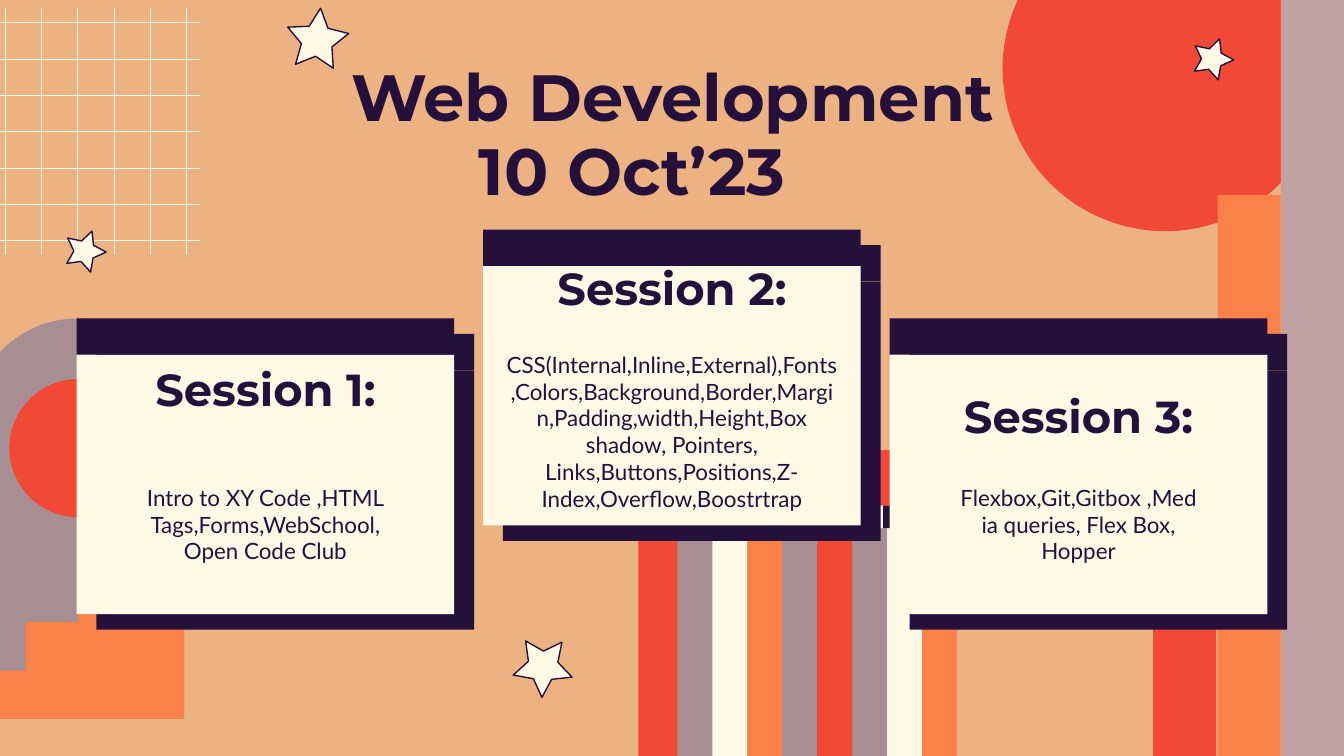
from math import cos, radians, sin

from lxml.etree import SubElement
from pptx import Presentation
from pptx.dml.color import RGBColor
from pptx.enum.shapes import MSO_CONNECTOR, MSO_SHAPE
from pptx.enum.text import MSO_ANCHOR, MSO_AUTO_SIZE, PP_ALIGN
from pptx.oxml.ns import qn
from pptx.util import Inches, Pt

WIDTH = 10
HEIGHT = WIDTH * 9 / 16
COLORS = {
    "sand": "ECB281", "orange": "FA8147", "cream": "FFF9E5", "mauve": "A78E92",
    "red": "F14936", "dark": "25103B", "rose": "BFA2A4",
}
TITLE = ("Web Development", (0.79, 0.32, 8.43, 0.63))
DATE = ("10 Oct’23", (1.38, 0.87, 6.65, 0.63))
SESSIONS = [
    {"heading": "Session 1:", "card_top": 2.37, "heading_top": 2.61,
     "body": "Intro to XY Code ,HTML Tags,Forms,WebSchool, Open Code Club",
     "body_top": 3.5, "body_size": (1.99, 0.8)},
    {"heading": "Session 2:", "card_top": 1.71, "heading_top": 1.86,
     "body": "CSS(Internal,Inline,External),Fonts,Colors,Background,Border,Margin,"
             "Padding,width,Height,Box shadow, Pointers, "
             "Links,Buttons,Positions,Z-Index,Overflow,Boostrtrap",
     "body_top": 2.51, "body_size": (2.69, 1.55)},
    {"heading": "Session 3:", "card_top": 2.37, "heading_top": 2.81,
     "body": "Flexbox,Git,Gitbox ,Media queries, Flex Box, Hopper",
     "body_top": 3.5, "body_size": (1.99, 0.8)},
]
CARD_LEFT, LAST_CARD_LEFT, CARD_WIDTH = 0.57, 6.62, 2.81
CARD_PITCH = (LAST_CARD_LEFT - CARD_LEFT) / (len(SESSIONS) - 1)
HEADER_HEIGHT, CARD_BODY_HEIGHT = 0.27, 1.93
HEADING_WIDTH, HEADING_HEIGHT = 1.99, 0.58

STRIPE_LEFT, STRIPE_TOP, STRIPE_PITCH, STRIPE_WIDTH = 4.75, 3.76, 0.26, 0.29
LONG_STRIPES = ["red", "mauve", "cream", "orange", "mauve", "red", "mauve", "cream", "orange"]
SHORT_STRIPES = ["dark", "cream", "dark", "red", "mauve", "orange", "cream", "dark"]
LONG_STRIPE_HEIGHT, SHORT_STRIPE_HEIGHT = 1.9, 0.17
DECORATIONS = [
    (MSO_SHAPE.RECTANGLE, (6.43, 3.35, 0.7, 0.41), "red"),
    (MSO_SHAPE.RECTANGLE, (5.87, 3.35, 0.56, 0.41), "dark"),
    (MSO_SHAPE.OVAL, (7.46, -0.7, 2.42, 2.42), "red"),
    (MSO_SHAPE.ROUND_2_SAME_RECTANGLE, (-0.21, 2.37, 1.57, 2.96), "mauve"),
    (MSO_SHAPE.OVAL, (0.07, 2.82, 1.03, 1.03), "red"),
    (MSO_SHAPE.RECTANGLE, (9.53, 0, 0.47, 5.64), "rose"),
    (MSO_SHAPE.RECTANGLE, (9.06, 1.45, 0.47, 4.19), "orange"),
    (MSO_SHAPE.RECTANGLE, (8.58, 3.49, 0.47, 2.15), "red"),
]
STAIR_LEFTS, STAIR_RIGHT, STAIR_TOP, STAIR_RISE = [0.97, 0.58, 0.19, -0.21], 1.37, 3.91, 0.36
GRID_LEFT, GRID_TOP, GRID_PITCH = 0.04, 0.17, 0.27
STARS = [
    (0.63, 1.87, 0.16, 20), (4.04, 4.96, 0.23, 38),
    (9.02, 0.44, 0.16, 20), (2.36, 0.3, 0.24, 6),
]


def color(name):
    return RGBColor.from_string(COLORS[name])


def paint(shape, fill, line=None):
    shape.shadow.inherit = False
    shape.fill.solid()
    shape.fill.fore_color.rgb = color(fill)
    if line:
        shape.line.color.rgb = color(line)
        shape.line.width = Pt(0.75)
    else:
        shape.line.fill.background()


def add_block(slide, kind, box, fill):
    shape = slide.shapes.add_shape(kind, *map(Inches, box))
    paint(shape, fill)
    return shape


def add_polygon(slide, points, fill, line=None):
    corners = [(Inches(x), Inches(y)) for x, y in points]
    builder = slide.shapes.build_freeform(*corners[0])
    builder.add_line_segments(corners[1:], close=True)
    paint(builder.convert_to_shape(), fill, line)


def add_grid_line(slide, start, end):
    line = slide.shapes.add_connector(MSO_CONNECTOR.STRAIGHT, *map(Inches, start + end))
    line.line.color.rgb = color("cream")
    line.line.width = Pt(0.5)
    SubElement(line.element.spPr, qn("a:effectLst"))


def add_card_shadow(shape):
    effects = shape.element.spPr.find(qn("a:effectLst"))
    shadow = SubElement(effects, qn("a:outerShdw"), dist=str(Pt(13.5)),
                        dir=str(38 * 60000), algn="bl", rotWithShape="0")
    SubElement(shadow, qn("a:srgbClr"), val=COLORS["dark"])


def write(shape, text, box, size, font="Montserrat", bold=True, anchor=MSO_ANCHOR.TOP):
    shape.left, shape.top, shape.width, shape.height = map(Inches, box)
    shape.element.getparent().append(shape.element)
    frame = shape.text_frame
    frame.word_wrap = True
    frame.auto_size = MSO_AUTO_SIZE.NONE
    frame.vertical_anchor = anchor
    frame.margin_left = frame.margin_right = Inches(0.1)
    frame.margin_top = frame.margin_bottom = Inches(0.1)
    frame.text = text
    paragraph = frame.paragraphs[0]
    paragraph.alignment = PP_ALIGN.CENTER
    paragraph.space_before = Pt(0)
    properties = paragraph._p.get_or_add_pPr()
    properties.set("marL", "0")
    properties.set("indent", "0")
    SubElement(properties, qn("a:buNone"))
    style = paragraph.runs[0].font
    style.name, style.size, style.bold = font, Pt(size), bold
    style.color.rgb = color("dark")


def add_text(slide, text, box, size, **style):
    write(slide.shapes.add_textbox(*map(Inches, box)), text, box, size, **style)


def add_stripe(slide, index, height, fill):
    box = (STRIPE_LEFT + index * STRIPE_PITCH, STRIPE_TOP, STRIPE_WIDTH, height)
    add_block(slide, MSO_SHAPE.RECTANGLE, box, fill)


def draw_background(slide):
    slide.background.fill.solid()
    slide.background.fill.fore_color.rgb = color("sand")
    for index, fill in reversed(list(enumerate(LONG_STRIPES))):
        add_stripe(slide, index, LONG_STRIPE_HEIGHT, fill)
    for index, fill in enumerate(SHORT_STRIPES):
        add_stripe(slide, index, SHORT_STRIPE_HEIGHT, fill)
    for kind, box, fill in DECORATIONS:
        shape = add_block(slide, kind, box, fill)
        if kind == MSO_SHAPE.ROUND_2_SAME_RECTANGLE:
            shape.adjustments[0] = 0.5
    stairs = [(STAIR_RIGHT, STAIR_TOP)]
    for step, left in enumerate(STAIR_LEFTS):
        top = STAIR_TOP + step * STAIR_RISE
        stairs += [(left, top), (left, top + STAIR_RISE)]
    add_polygon(slide, stairs + [(STAIR_RIGHT, stairs[-1][1])], "orange")
    for column in range(6):
        x = GRID_LEFT + column * GRID_PITCH
        add_grid_line(slide, (x, 0.06), (x, 1.9))
    for row in range(7):
        y = GRID_TOP + row * GRID_PITCH
        add_grid_line(slide, (-0.33, y), (1.49, y))
    for center_x, center_y, radius, turn in STARS:
        points = []
        for corner in range(10):
            reach = radius * (0.5 if corner % 2 else 1)
            angle = radians(turn + 36 * corner)
            points.append((center_x + reach * sin(angle), center_y - reach * cos(angle)))
        add_polygon(slide, points, "cream", line="dark")


def draw_session(slide, session, left, placeholder):
    top = session["card_top"]
    for offset, height, fill in [(0, HEADER_HEIGHT, "dark"),
                                 (HEADER_HEIGHT, CARD_BODY_HEIGHT, "cream")]:
        box = (left, top + offset, CARD_WIDTH, height)
        add_card_shadow(add_block(slide, MSO_SHAPE.RECTANGLE, box, fill))
    center = left + CARD_WIDTH / 2
    width, height = session["body_size"]
    write(placeholder, session["body"], (center - width / 2, session["body_top"], width, height),
          12, font="Lato", bold=False)
    add_text(slide, session["heading"],
             (center - HEADING_WIDTH / 2, session["heading_top"], HEADING_WIDTH, HEADING_HEIGHT),
             24, anchor=MSO_ANCHOR.BOTTOM)


def main():
    presentation = Presentation()
    presentation.slide_width, presentation.slide_height = Inches(WIDTH), Inches(HEIGHT)
    slide = presentation.slides.add_slide(presentation.slide_layouts[4])
    title, *bodies, unused = list(slide.placeholders)
    unused.element.getparent().remove(unused.element)
    draw_background(slide)
    for index in reversed(range(len(SESSIONS))):
        draw_session(slide, SESSIONS[index], CARD_LEFT + index * CARD_PITCH, bodies[index])
    write(title, *TITLE, 35)
    add_text(slide, *DATE, 35)
    presentation.save("out.pptx")


if __name__ == "__main__":
    main()
